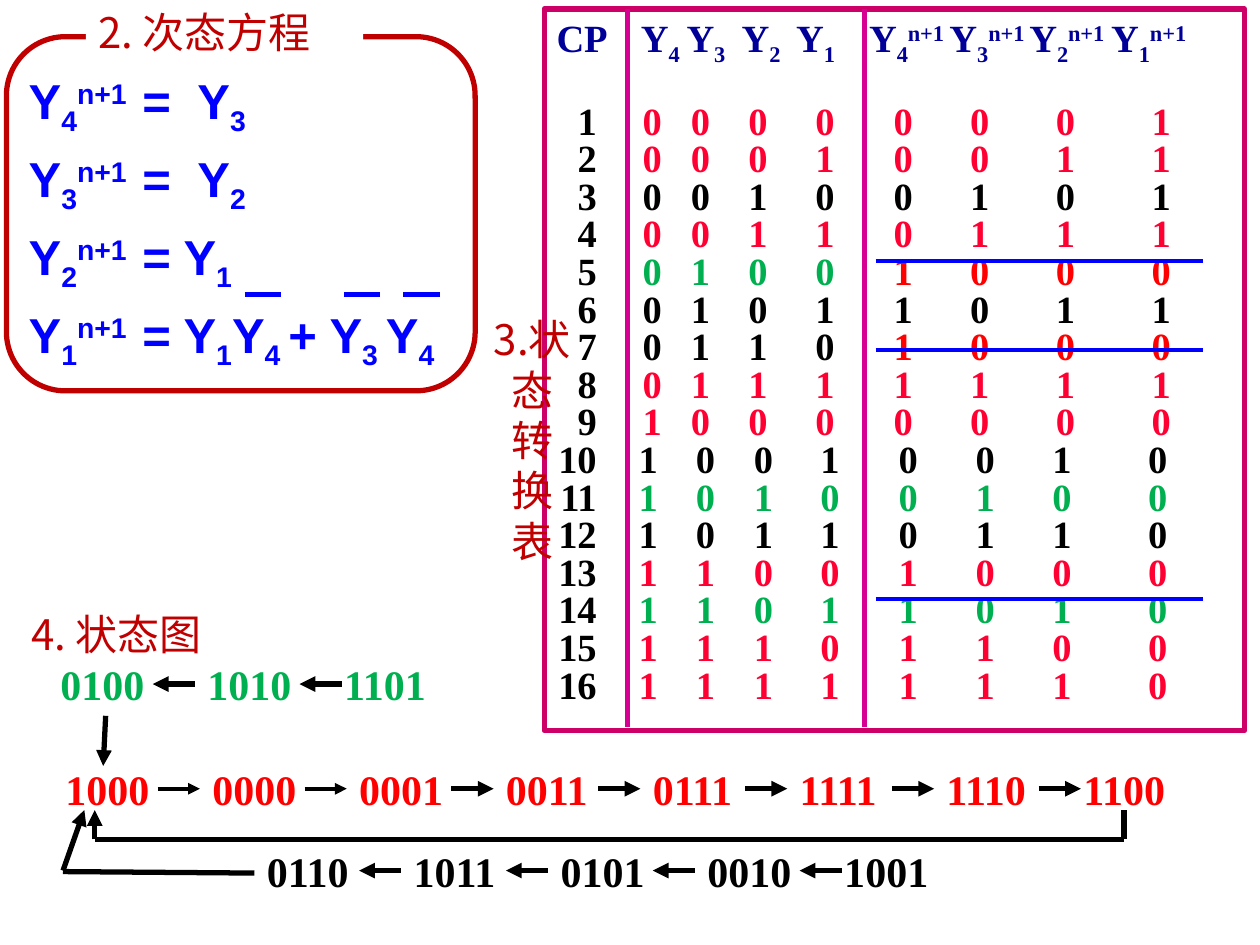
"""Build a slide on the next-state equations, transition table and state diagram of a counter."""
from lxml import etree
from pptx import Presentation
from pptx import util as u
from pptx.dml.color import RGBColor
from pptx.enum import shapes, text
from pptx.oxml.ns import qn

color = RGBColor.from_string
SERIF, SANS, CHINESE = "Times New Roman", "Arial", "Noto Sans CJK SC"
BLACK, BLUE, DARK_RED, GREEN, RED, PINK = "000000", "0000FF", "C00000", "00B050", "FF0000", "FF0033"

deck = Presentation()
deck.slide_width, deck.slide_height = u.Cm(25.4), u.Cm(19.05)
page = deck.slides.add_slide(deck.slide_layouts[6])


def write(para, pieces, font, size, bold=True, spacing=None, before=0, tabs=()):
    """Fill a paragraph from (markup, colour) pairs; | splits spans, _ lowers and ^ raises."""
    para.alignment = text.PP_ALIGN.LEFT
    para.space_before = u.Pt(before)
    if spacing:
        para.line_spacing = u.Pt(spacing)
    if tabs:
        stops = etree.SubElement(para._p.get_or_add_pPr(), qn("a:tabLst"))
        for place, side in tabs:
            etree.SubElement(stops, qn("a:tab"), pos=str(int(u.Cm(place))), algn=side)
    for markup, shade in pieces:
        for piece in markup.split("|"):
            span = para.add_run()
            span.text = piece.lstrip("_^")
            for name, value in {"name": font, "size": u.Pt(size), "bold": bold}.items():
                setattr(span.font, name, value)
            span.font.color.rgb = color(shade)
            properties = span._r.get_or_add_rPr()
            etree.SubElement(properties, qn("a:ea"), typeface=font)
            level = {"_": "-25000", "^": "30000"}.get(piece[0])
            if level:
                properties.set("baseline", level)


def connect(x1, y1, x2, y2, shade=BLACK, width=3, arrow=None):
    """Draw a straight line, with an arrowhead at headEnd or tailEnd."""
    line = page.shapes.add_connector(shapes.MSO_CONNECTOR.STRAIGHT, *map(u.Cm, (x1, y1, x2, y2)))
    line.line.color.rgb = color(shade)
    line.line.width = u.Pt(width)
    outline = line._element.spPr.find(qn("a:ln"))
    if arrow:
        etree.SubElement(outline, qn("a:" + arrow), type="triangle")
    etree.SubElement(line._element.spPr, qn("a:effectLst"))


table_box = page.shapes.add_shape(shapes.MSO_SHAPE.RECTANGLE, *map(u.Cm, (10.97, 0.18, 14.12, 14.55)))
table_box.shadow.inherit = False
table_box.fill.solid()
table_box.fill.fore_color.rgb = color("FFFFFF")
table_box.line.color.rgb = color("CC0066")
table_box.line.width = u.Pt(3)
frame = table_box.text_frame
frame.word_wrap = True
frame.vertical_anchor = text.MSO_ANCHOR.TOP

present = "".join(f"|\tY|_{bit}" for bit in (4, 3, 2, 1))
following = "".join(f"|\tY|_{bit}|^n+1" for bit in (4, 3, 2, 1))
header_tabs = [(place, "l") for place in (1.7, 2.62, 3.73, 4.83, 6.3, 7.92, 9.53, 11.18)]
write(frame.paragraphs[0], [("CP" + present + following, "000099")], SERIF, 22, spacing=29.5, tabs=header_tabs)

low_columns = (1.93, 2.9, 4.06, 5.41, 6.99, 8.53, 10.26, 12.19)
high_columns = (1.85, 3, 4.17, 5.51, 7.09, 8.64, 10.19, 12.12)
next_states = ("0001 0011 0101 0111 1000 1011 1000 1111 "
               "0000 0010 0100 0110 1000 1010 1100 1110").split()
row_colors = {3: BLACK, 5: GREEN, 6: BLACK, 7: BLACK, 10: BLACK, 11: GREEN, 12: BLACK, 14: GREEN}
for pulse, next_state in enumerate(next_states, 1):
    shade = row_colors.get(pulse, PINK)
    next_shade = RED if pulse in (5, 7) else shade
    columns = low_columns if pulse < 10 else high_columns
    pieces = [(f"\t{pulse}", BLACK),
              ("".join("\t" + bit for bit in f"{pulse - 1:04b}"), shade),
              ("".join("\t" + bit for bit in next_state), next_shade)]
    write(frame.add_paragraph(), pieces, SERIF, 22, spacing=21.5, before=22 if pulse == 1 else 0,
          tabs=[(0.81, "r")] + [(place, "ctr") for place in columns])

for x in (12.65, 17.42):
    connect(x, 0.18, x, 14.66, "D60093")

chains = [
    ("1000 0000 0001 0011 0111 1111 1110 1100", 1.07, 15.27, RED, "tailEnd"),
    ("0110 1011 0101 0010 1001", 5.13, 16.92, BLACK, "headEnd"),
    ("0100 1010 1101", 0.97, 13.16, GREEN, "headEnd"),
]
for states, left, top, shade, arrow in chains:
    states = states.split()
    last = len(states) - 1
    for index, state in enumerate(states):
        x = left + 2.96 * index
        shift = 0.2 if index == last else 0
        box = page.shapes.add_textbox(*map(u.Cm, (x - shift, top, 2.34, 1.27)))
        box.text_frame.word_wrap = True
        write(box.text_frame.paragraphs[0], [(state, shade)], SERIF, 24)
        if index < last:
            width = 2.25 if shade == RED and index < 2 else 3
            connect(x + 2.11, top + 0.63, x + 2.96, top + 0.63, BLACK, width, arrow)

for ends in ((22.66, 16.33, 22.66, 16.92), (22.66, 16.92, 1.91, 16.92), (5.13, 17.6, 1.27, 17.57)):
    connect(*ends)
for ends in ((1.91, 16.92, 1.91, 16.33), (1.27, 17.55, 1.7, 16.33), (2.13, 14.43, 2.08, 15.44)):
    connect(*ends, arrow="tailEnd")
for y in (5.26, 7.06, 12.07):
    connect(17.65, y, 24.26, y, BLUE, 2.25)

equation_box = page.shapes.add_textbox(*map(u.Cm, (0.33, 1.37, 10.16, 5.84)))
equation_box.text_frame.word_wrap = True
equations = [
    "Y|_4|^n+1|\t=\tY|_3",
    "Y|_3|^n+1|\t=\tY|_2",
    "Y|_2|^n+1|\t= Y|_1",
    "Y|_1|^n+1|\t= Y|_1|Y|_4 |+ Y|_3 |Y|_4",
]
for index, equation in enumerate(equations):
    frame = equation_box.text_frame
    para = frame.add_paragraph() if index else frame.paragraphs[0]
    write(para, [(equation, BLUE)], SANS, 28, spacing=36, before=8.6 if index else 0,
          tabs=[(2.29, "l"), (3.4, "l")])
for x in (4.93, 6.93, 8.13):
    connect(x, 5.94, x + 0.73, 5.94, BLUE)

equation_frame = page.shapes.add_shape(shapes.MSO_SHAPE.ROUNDED_RECTANGLE, *map(u.Cm, (0.13, 0.74, 9.45, 7.14)))
equation_frame.shadow.inherit = False
equation_frame.fill.background()
equation_frame.line.color.rgb = color(DARK_RED)
equation_frame.line.width = u.Pt(3)

headings = [
    ("2. 次态方程", (1.73, -0.1, 5.59, 1.27), 31.7),
    ("3.状态转换表", (9.7, 4.8, 2.06, 8.13), 28.8),
    ("4. 状态图", (0.38, 12.04, 7.52, 1.27), 31.7),
]
for label, place, spacing in headings:
    box = page.shapes.add_textbox(*map(u.Cm, place))
    box.text_frame.word_wrap = True
    para = box.text_frame.paragraphs[0]
    write(para, [(label, DARK_RED)], CHINESE, 24, bold=False, spacing=spacing)
    if label.startswith("2"):
        box.fill.solid()
        box.fill.fore_color.rgb = color("FFFFFF")
    if label.startswith("3"):
        box.text_frame.vertical_anchor = text.MSO_ANCHOR.MIDDLE
        para.alignment = text.PP_ALIGN.CENTER

deck.save("out.pptx")
